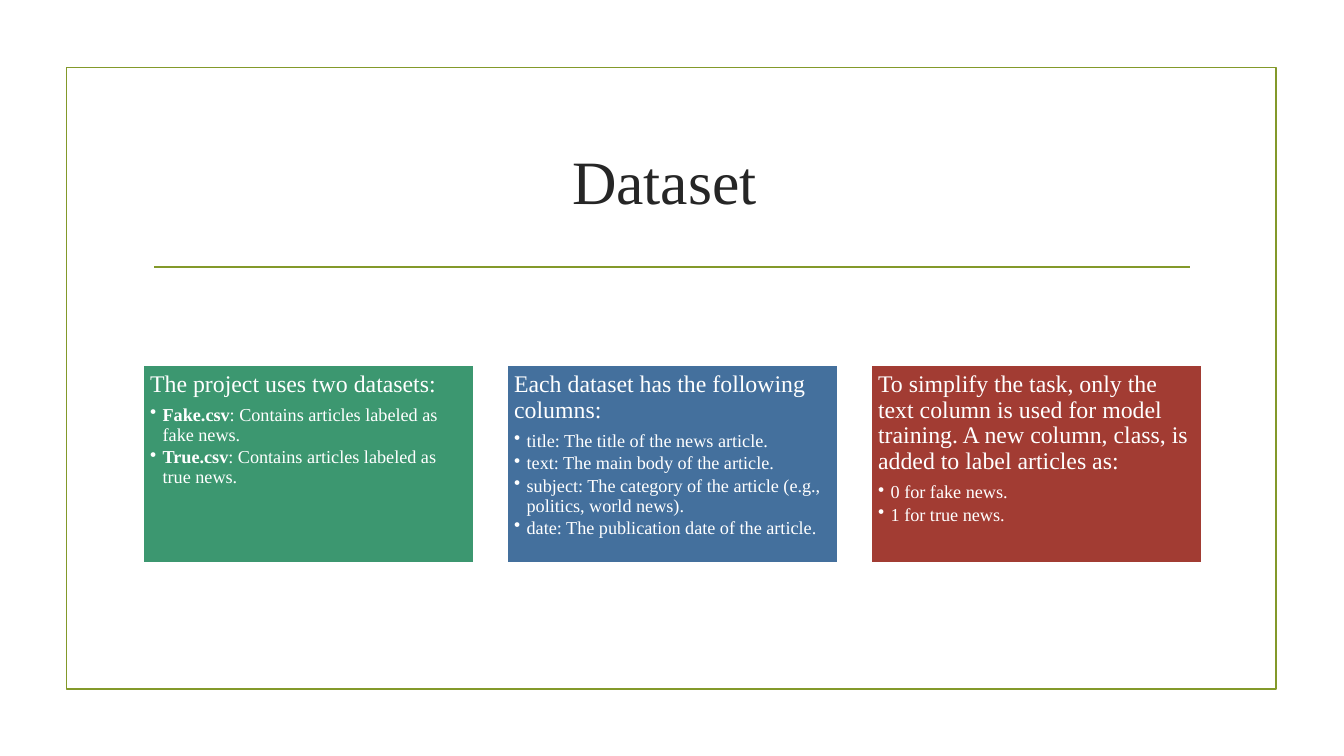
import lxml.etree
import pptx
import pptx.dml.color
import pptx.enum.shapes
import pptx.enum.text
import pptx.oxml.ns
import pptx.util

Pt = pptx.util.Pt
qn = pptx.oxml.ns.qn
ANCHOR = pptx.enum.text.MSO_ANCHOR
ALIGN = pptx.enum.text.PP_ALIGN
RECT = pptx.enum.shapes.MSO_SHAPE.RECTANGLE


def rgb(value):
    return pptx.dml.color.RGBColor.from_string(value)


def add_run(p, text, size, color, bold=False):
    r = p.add_run()
    r.text = text
    for name, value in {"name": "Times New Roman", "size": Pt(size), "bold": bold}.items():
        setattr(r.font, name, value)
    r.font.color.rgb = rgb(color)


prs = pptx.Presentation()
prs.slide_width, prs.slide_height = Pt(960), Pt(540)
s = prs.slides.add_slide(prs.slide_layouts[5])

frame = s.shapes.add_shape(RECT, Pt(47.5), Pt(48.2), Pt(864), Pt(444.2))
frame.shadow.inherit = False
frame.fill.background()
rule = s.shapes.add_connector(
    pptx.enum.shapes.MSO_CONNECTOR.STRAIGHT, Pt(110.2), Pt(190.8), Pt(850.3), Pt(190.8))
lxml.etree.SubElement(rule.element.spPr, qn("a:effectLst"))
for sp in (frame, rule):
    sp.line.color.rgb = rgb("83992A")
    sp.line.width = Pt(1.25)

title = s.shapes.title
for name, value in {"left": 102.2, "top": 77, "width": 756, "height": 103}.items():
    setattr(title, name, Pt(value))
tf = title.text_frame
tf.vertical_anchor = ANCHOR.MIDDLE
p = tf.paragraphs[0]
p.alignment = ALIGN.CENTER
add_run(p, "Dataset ", 44, "262626")

cards = [
    ("3C9770", "The project uses two datasets:", [
        ("Fake.csv", ": Contains articles labeled as fake news."),
        ("True.csv", ": Contains articles labeled as true news."),
    ]),
    ("44709D", "Each dataset has the following columns:", [
        ("", "title: The title of the news article."),
        ("", "text: The main body of the article."),
        ("", "subject: The category of the article (e.g., politics, world news)."),
        ("", "date: The publication date of the article."),
    ]),
    ("A23C33", "To simplify the task, only the text column is used for model training. "
               "A new column, class, is added to label articles as:", [
        ("", "0 for fake news."),
        ("", "1 for true news."),
    ]),
]
para_format = {"alignment": ALIGN.LEFT, "line_spacing": 0.9}
frame_format = {"word_wrap": True, "vertical_anchor": ANCHOR.TOP}
for side in ("left", "top", "right", "bottom"):
    frame_format["margin_" + side] = Pt(5)

for i, (color, heading, items) in enumerate(cards):
    sp = s.shapes.add_shape(RECT, Pt(102.2 + 260 * i), Pt(260.6), Pt(236.2), Pt(141.8))
    sp.shadow.inherit = False
    sp.fill.solid()
    sp.fill.fore_color.rgb = rgb(color)
    sp.line.color.rgb = rgb("FFFFFF")
    sp.line.width = Pt(1.25)
    tf = sp.text_frame
    for name, value in frame_format.items():
        setattr(tf, name, value)
    p = tf.paragraphs[0]
    p.space_after = Pt(6)
    add_run(p, heading, 17, "FFFFFF")
    for term, text in items:
        p = tf.add_paragraph()
        p.level = 1
        p.space_after = Pt(2)
        pPr = p._p.get_or_add_pPr()
        pPr.set("marL", str(Pt(9)))
        pPr.set("indent", str(-Pt(9)))
        lxml.etree.SubElement(pPr, qn("a:buChar")).set("char", "•")
        if term:
            add_run(p, term, 13, "FFFFFF", True)
        add_run(p, text, 13, "FFFFFF")
    for p in tf.paragraphs:
        for name, value in para_format.items():
            setattr(p, name, value)

prs.save("out.pptx")
